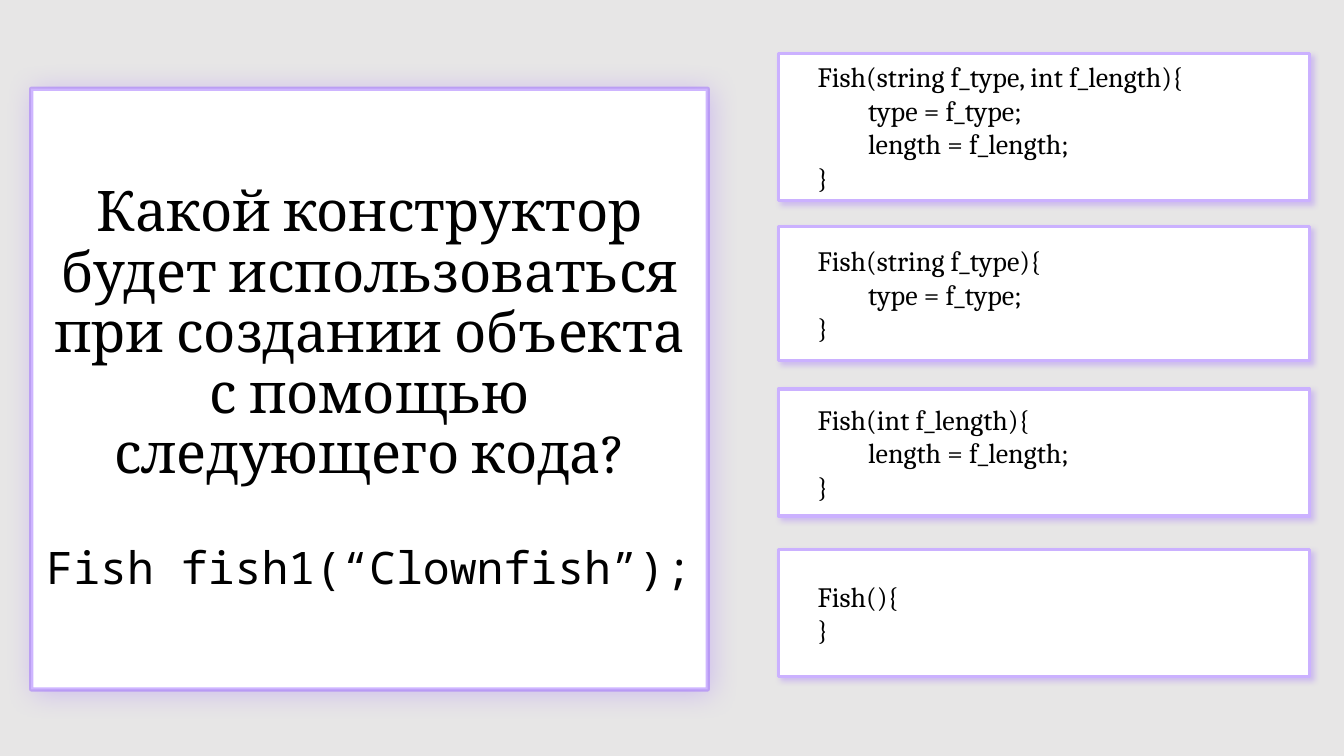
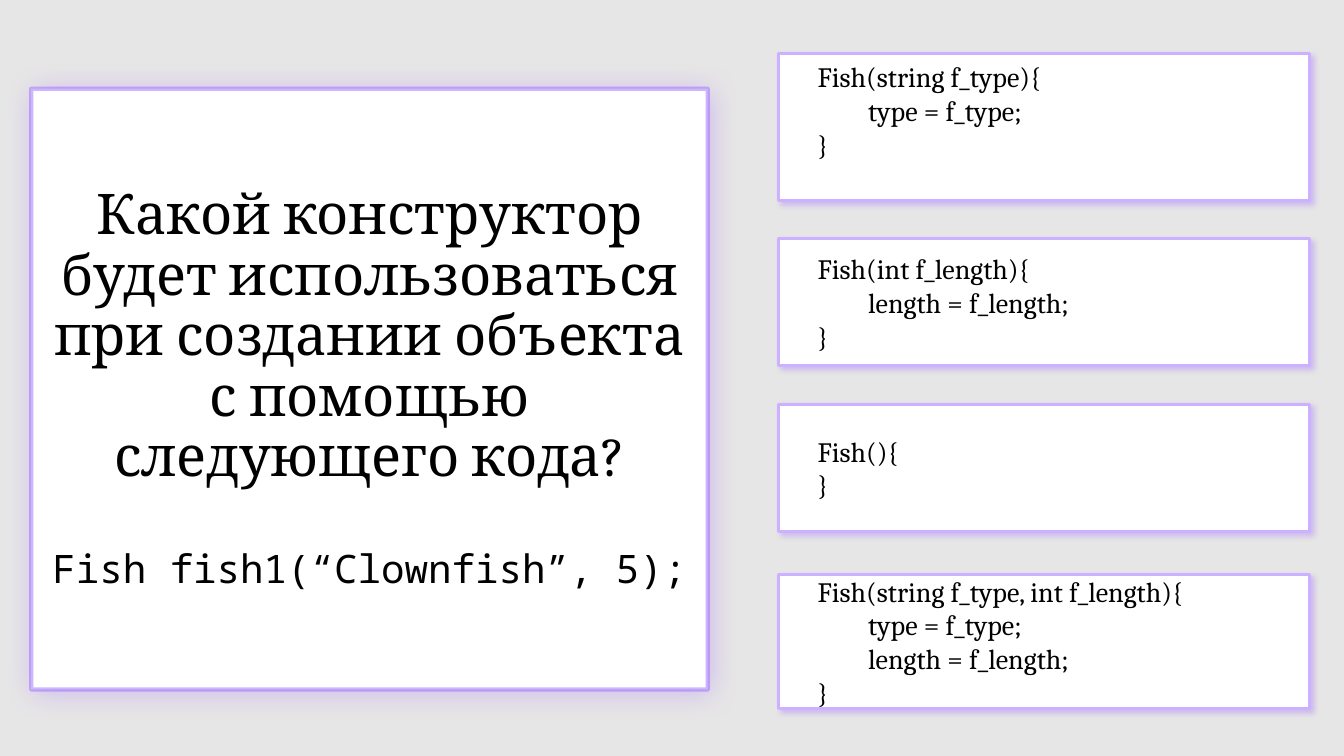
"""Build two quiz slides about choosing a Fish constructor."""
from lxml.etree import SubElement
from pptx import Presentation
from pptx.dml.color import RGBColor
from pptx.enum.shapes import MSO_SHAPE
from pptx.enum.text import MSO_ANCHOR, MSO_AUTO_SIZE, PP_ALIGN
from pptx.oxml.ns import qn
from pptx.util import Inches, Pt

COLORS = {"background": "E7E6E6", "card": "FFFFFF", "text": "000000",
          "border": "CBB1FF", "accent": "9966FF"}
TEXT_FONT, CODE_FONT = "Cambria", "Noto Sans Mono"
QUESTION = ("Какой конструктор будет использоваться при создании объекта "
            "с помощью следующего кода?")
QUESTION_BOX = (0.31, 0.88, 6.71, 5.96)
ANSWER_LEFT, ANSWER_WIDTH = 7.72, 5.27
CODE_LINE = 0.33

BOTH = ["Fish(string f_type, int f_length){", "\ttype = f_type;",
        "\tlength = f_length;", "}"]
TYPE_ONLY = ["Fish(string f_type){", "\ttype = f_type;", "}"]
LENGTH_ONLY = ["Fish(int f_length){", "\tlength = f_length;", "}"]
EMPTY = ["Fish(){", "}"]

QUIZZES = [
    {"call": "Fish fish1(“Clownfish”);", "size": 32,
     "answers": [(0.53, 1.46, 0, BOTH), (2.25, 1.33, 0, TYPE_ONLY),
                 (3.86, 1.26, 0, LENGTH_ONLY), (5.45, 1.26, 0, EMPTY)]},
    {"call": "Fish fish1(“Clownfish”, 5);", "size": 28,
     "answers": [(0.53, 1.46, CODE_LINE, TYPE_ONLY), (2.37, 1.26, 0, LENGTH_ONLY),
                 (4.01, 1.26, 0, EMPTY), (5.7, 1.33, 0, BOTH)]},
]


def style_card(shape, border, width, blur, opacity):
    """Give a card its fill, border, shadow and text anchor."""
    shape.fill.solid()
    shape.fill.fore_color.rgb = RGBColor.from_string(COLORS["card"])
    shape.line.color.rgb = RGBColor.from_string(COLORS[border])
    shape.line.width = Pt(width)
    shape.shadow.inherit = False
    effects = shape._element.spPr.find(qn("a:effectLst"))
    shadow = SubElement(effects, qn("a:outerShdw"), blurRad=str(Pt(blur)),
                        dist=str(Pt(3)), dir=str(45 * 60000), algn="ctr", rotWithShape="0")
    color = SubElement(shadow, qn("a:srgbClr"), val=COLORS["accent"])
    SubElement(color, qn("a:alpha"), val=str(opacity * 1000))
    shape.text_frame.word_wrap = True
    shape.text_frame.auto_size = MSO_AUTO_SIZE.NONE
    shape.text_frame.vertical_anchor = MSO_ANCHOR.MIDDLE


def add_line(frame, index, text, font, size, alignment):
    """Write one paragraph of text and return it."""
    paragraph = frame.add_paragraph() if index else frame.paragraphs[0]
    paragraph.alignment = alignment
    run = paragraph.add_run()
    run.text = text
    run.font.name = font
    run.font.size = Pt(size)
    run.font.color.rgb = RGBColor.from_string(COLORS["text"])
    return paragraph


presentation = Presentation()
presentation.slide_width, presentation.slide_height = Inches(13.33), Inches(7.5)
background = presentation.slide_master.background.fill
background.solid()
background.fore_color.rgb = RGBColor.from_string(COLORS["background"])
title_only = presentation.slide_layouts[5]

for quiz in QUIZZES:
    slide = presentation.slides.add_slide(title_only)

    question = slide.shapes.title
    question.left, question.top, question.width, question.height = map(Inches, QUESTION_BOX)
    style_card(question, "accent", 3, 20, 34)
    line_color = question._element.spPr.find(qn("a:ln")).find(".//" + qn("a:srgbClr"))
    SubElement(line_color, qn("a:alpha"), val="47000")
    lines = [(QUESTION, TEXT_FONT, 40, 0), (quiz["call"], CODE_FONT, quiz["size"], 43)]
    for index, (text, font, size, gap) in enumerate(lines):
        paragraph = add_line(question.text_frame, index, text, font, size, PP_ALIGN.CENTER)
        paragraph.line_spacing = 0.9
        paragraph.space_before = Pt(gap)

    for top, height, bottom_inset, code in quiz["answers"]:
        answer = slide.shapes.add_shape(MSO_SHAPE.RECTANGLE, Inches(ANSWER_LEFT), Inches(top),
                                        Inches(ANSWER_WIDTH), Inches(height))
        style_card(answer, "border", 2.25, 4, 32)
        frame = answer.text_frame
        frame.margin_left, frame.margin_bottom = Inches(0.39), Inches(bottom_inset)
        frame.margin_top = frame.margin_right = 0
        for index, text in enumerate(code):
            add_line(frame, index, text, TEXT_FONT, 20, PP_ALIGN.LEFT)

presentation.save("out.pptx")
